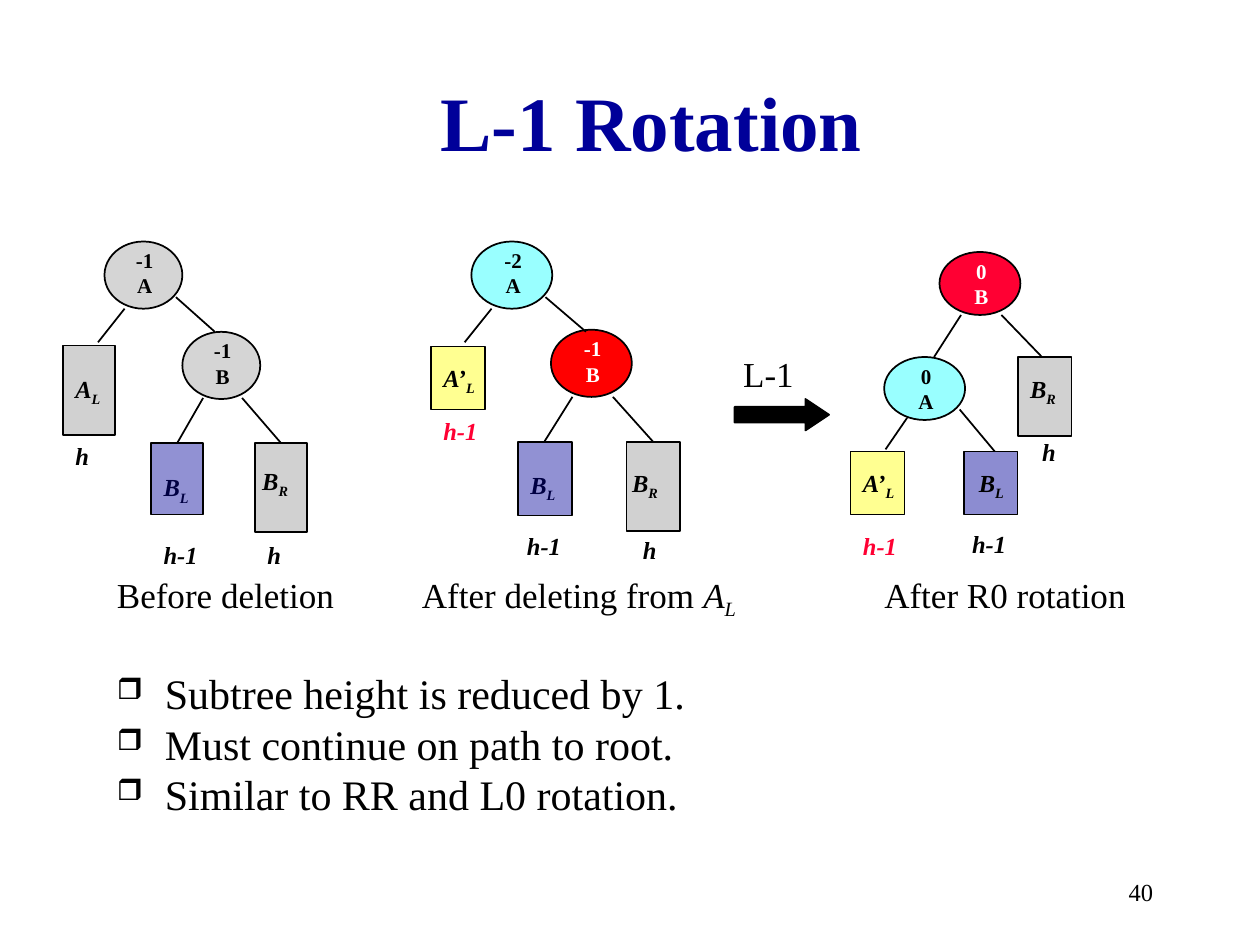
from lxml import etree
from pptx import Presentation
from pptx.dml.color import RGBColor
from pptx.enum.shapes import MSO_CONNECTOR, MSO_SHAPE
from pptx.enum.text import MSO_ANCHOR, PP_ALIGN
from pptx.oxml.ns import qn
from pptx.util import Inches, Pt

OVAL, RECTANGLE, ARROW = MSO_SHAPE.OVAL, MSO_SHAPE.RECTANGLE, MSO_SHAPE.RIGHT_ARROW
STRAIGHT = MSO_CONNECTOR.STRAIGHT
LEFT, CENTER, RIGHT = PP_ALIGN.LEFT, PP_ALIGN.CENTER, PP_ALIGN.RIGHT
MIDDLE = MSO_ANCHOR.MIDDLE

FONT = "Times New Roman"
COLORS = {"black": "000000", "white": "FFFFFF", "navy": "000099", "gray": "969696",
          "cyan": "00FFFF", "yellow": "FFFF00", "red": "FF0000", "crimson": "FF0033"}
ROW = 1 / 12
NODE_WIDTH, SUBTREE_WIDTH = 6, 4

TITLE = "L-1 Rotation"
BULLETS = ["Subtree height is reduced by 1.", "Must continue on path to root.",
           "Similar to RR and L0 rotation."]
PAGE_NUMBER = "40"

# nodes: balance, name, column, row, fill, opacity, text colour
# subtrees: name, side, column, row, rows, fill, opacity, label column, label row, label in front
# heights: text, column, row, colour
# edges: from column, from row, to column, to row
TREES = [
    {"left": 0.5, "column": 0.103, "node_rows": 6.4,
     "nodes": [("-1", "A", 3.2, 23, "gray", 40, "black"),
               ("-1", "B", 9.2, 31.6, "gray", 40, "black")],
     "subtrees": [("A", "L", 0, 32.9, 8.5, "gray", 43, 0, 35, True),
                  ("B", "L", 6.8, 42.2, 6.8, "navy", 43, 6.8, 44.4, False),
                  ("B", "R", 14.8, 42.2, 8.5, "gray", 43, 14.4, 43.8, True)],
     "heights": [("h", 0, 41.4, "black"), ("h-1", 6.8, 50.8, "black"),
                 ("h", 14.8, 50.8, "black")],
     "edges": [(4.75, 29.4, 2.7, 32.6), (8.7, 28.3, 11.7, 31.6),
               (10.8, 37.9, 8.8, 42.2), (13.8, 37.9, 16.8, 42.2)]},
    {"left": 3.42, "column": 0.107, "node_rows": 6.4,
     "nodes": [("-2", "A", 3, 23, "cyan", 40, "black"),
               ("-1", "B", 8.9, 31.4, "red", 100, "white")],
     "subtrees": [("A’", "L", 0, 33, 6, "yellow", 43, 0, 34, True),
                  ("B", "L", 6.45, 42.1, 7, "navy", 43, 6.45, 44.2, False),
                  ("B", "R", 14.5, 42.1, 8.5, "gray", 43, 14, 44, True)],
     "heights": [("h-1", 0, 39, "crimson"), ("h-1", 6.2, 50, "black"),
                 ("h", 14.8, 50.4, "black")],
     "edges": [(4.5, 29.4, 2.5, 32.6), (8.5, 28.3, 11.5, 31.6),
               (10.5, 37.8, 8.4, 42.1), (13.5, 37.8, 16.5, 42.1)]},
    {"left": 6.75, "column": 0.107, "node_rows": 6,
     "nodes": [("0", "A", 2.5, 34, "cyan", 40, "black"),
               ("0", "B", 6.6, 24, "crimson", 100, "white")],
     "subtrees": [("A’", "L", 0, 43, 6, "yellow", 43, 0, 44, True),
                  ("B", "L", 8.4, 43, 6, "navy", 45, 8.6, 44, True),
                  ("B", "R", 12.4, 34, 7.5, "gray", 43, 12.4, 35, True)],
     "heights": [("h-1", 0, 50, "crimson"), ("h-1", 8.1, 49.8, "black"),
                 ("h", 13.3, 41, "black")],
     "edges": [(8.2, 30, 6.2, 34), (11.2, 30, 14.2, 34),
               (8.1, 39, 10.7, 43), (4.2, 39.8, 2.6, 42.8)]},
]
CAPTIONS = [
    (0.83, 54, 2, [("Before deletion", {})]),
    (3.25, 54, 2.83, [("After deleting from ", {}), ("A", {"italic": True}),
                      ("L", {"italic": True, "subscript": True})]),
    (6.92, 54, 2.33, [("After R0 rotation", {})]),
    (5.8, 33, 0.83, [("L-1", {})]),
]


def color(name):
    return RGBColor.from_string(COLORS[name])


def add_span(para, text, size, ink="black", bold=False, italic=False, subscript=False):
    span = para.add_run()
    span.text = text
    font = span.font
    font.name, font.size, font.bold, font.italic = FONT, Pt(size), bold, italic
    font.color.rgb = color(ink)
    if subscript:
        font._element.set("baseline", "-25000")


def add_text(shapes, left, top, width, height, spans, size, align=LEFT, **style):
    box = shapes.add_textbox(Inches(left), Inches(top), Inches(width), Inches(height))
    box.text_frame.word_wrap = True
    para = box.text_frame.paragraphs[0]
    para.alignment = align
    for index, (text, extra) in enumerate(spans):
        if index and extra.get("new_line"):
            para.add_line_break()
        extra = {key: value for key, value in extra.items() if key != "new_line"}
        add_span(para, text, size, **{**style, **extra})
    return box


def add_figure(shapes, kind, left, top, width, height, fill, opacity=100):
    figure = shapes.add_shape(kind, Inches(left), Inches(top), Inches(width), Inches(height))
    figure.shadow.inherit = False
    figure.fill.solid()
    figure.fill.fore_color.rgb = color(fill)
    if opacity < 100:
        tint = figure._element.spPr.find(qn("a:solidFill"))[0]
        etree.SubElement(tint, qn("a:alpha")).set("val", str(opacity * 1000))
    figure.line.color.rgb = color("black")
    figure.line.width = Pt(1)
    return figure


def add_edge(shapes, start_x, start_y, end_x, end_y):
    edge = shapes.add_connector(STRAIGHT, Inches(start_x), Inches(start_y),
                                Inches(end_x), Inches(end_y))
    edge.line.color.rgb = color("black")
    edge.line.width = Pt(1)
    etree.SubElement(edge._element.spPr, qn("a:effectLst"))


def draw_tree(page, tree):
    shapes = page.shapes.add_group_shape().shapes
    unit = tree["column"]

    def place(column, row):
        return tree["left"] + column * unit, row * ROW

    def add_label(column, row, spans, ink="black"):
        add_text(shapes, *place(column, row), NODE_WIDTH * unit, 4 * ROW, spans, 14,
                 ink=ink, bold=True, italic=True)

    for balance, name, column, row, fill, opacity, ink in tree["nodes"]:
        add_figure(shapes, OVAL, *place(column, row), NODE_WIDTH * unit,
                   tree["node_rows"] * ROW, fill, opacity)
        add_text(shapes, *place(column + 0.6, row), 5 * unit, 6 * ROW,
                 [(balance, {}), (name, {"new_line": True})], 12, CENTER, ink=ink, bold=True)
    for name, side, column, row, rows, fill, opacity, label_column, label_row, front in tree["subtrees"]:
        spans = [(name, {}), (side, {"subscript": True})]
        if not front:
            add_label(label_column, label_row, spans)
        add_figure(shapes, RECTANGLE, *place(column, row), SUBTREE_WIDTH * unit,
                   rows * ROW, fill, opacity)
        if front:
            add_label(label_column, label_row, spans)
    for text, column, row, ink in tree["heights"]:
        add_label(column, row, [(text, {})], ink)
    for start_column, start_row, end_column, end_row in tree["edges"]:
        add_edge(shapes, *place(start_column, start_row), *place(end_column, end_row))


def add_bullet(para):
    props = para._p.get_or_add_pPr()
    props.set("marL", str(Inches(0.38)))
    props.set("indent", str(-Inches(0.38)))
    tint = etree.SubElement(props, qn("a:buClr"))
    etree.SubElement(tint, qn("a:srgbClr")).set("val", COLORS["black"])
    etree.SubElement(props, qn("a:buSzPct")).set("val", "70000")
    etree.SubElement(props, qn("a:buChar")).set("char", "❒")


def main():
    deck = Presentation()
    deck.slide_width, deck.slide_height = Inches(10), Inches(7.5)
    page = deck.slides.add_slide(deck.slide_layouts[5])

    title = page.shapes.title
    title.left, title.top, title.width, title.height = map(Inches, (0.92, 0.33, 8.5, 1.25))
    title.text_frame.vertical_anchor = MIDDLE
    heading = title.text_frame.paragraphs[0]
    heading.alignment = CENTER
    add_span(heading, TITLE, 44, "navy", bold=True)

    for tree in TREES:
        draw_tree(page, tree)
    arrow = add_figure(page.shapes, ARROW, 5.83, 38 * ROW, 0.75, 3 * ROW, "black")
    arrow.adjustments[0], arrow.adjustments[1] = 0.5, 0.75
    for left, row, width, spans in CAPTIONS:
        add_text(page.shapes, left, row * ROW, width, 0.43, spans, 20)

    body = add_text(page.shapes, 0.83, 5.25, 8.5, 1.58, [], 24).text_frame
    for index, bullet in enumerate(BULLETS):
        para = body.add_paragraph() if index else body.paragraphs[0]
        add_bullet(para)
        add_span(para, bullet, 24)

    number = add_text(page.shapes, 7.17, 6.83, 2.08, 0.5, [(PAGE_NUMBER, {})], 14, RIGHT)
    number.text_frame.vertical_anchor = MIDDLE
    deck.save("out.pptx")


if __name__ == "__main__":
    main()
